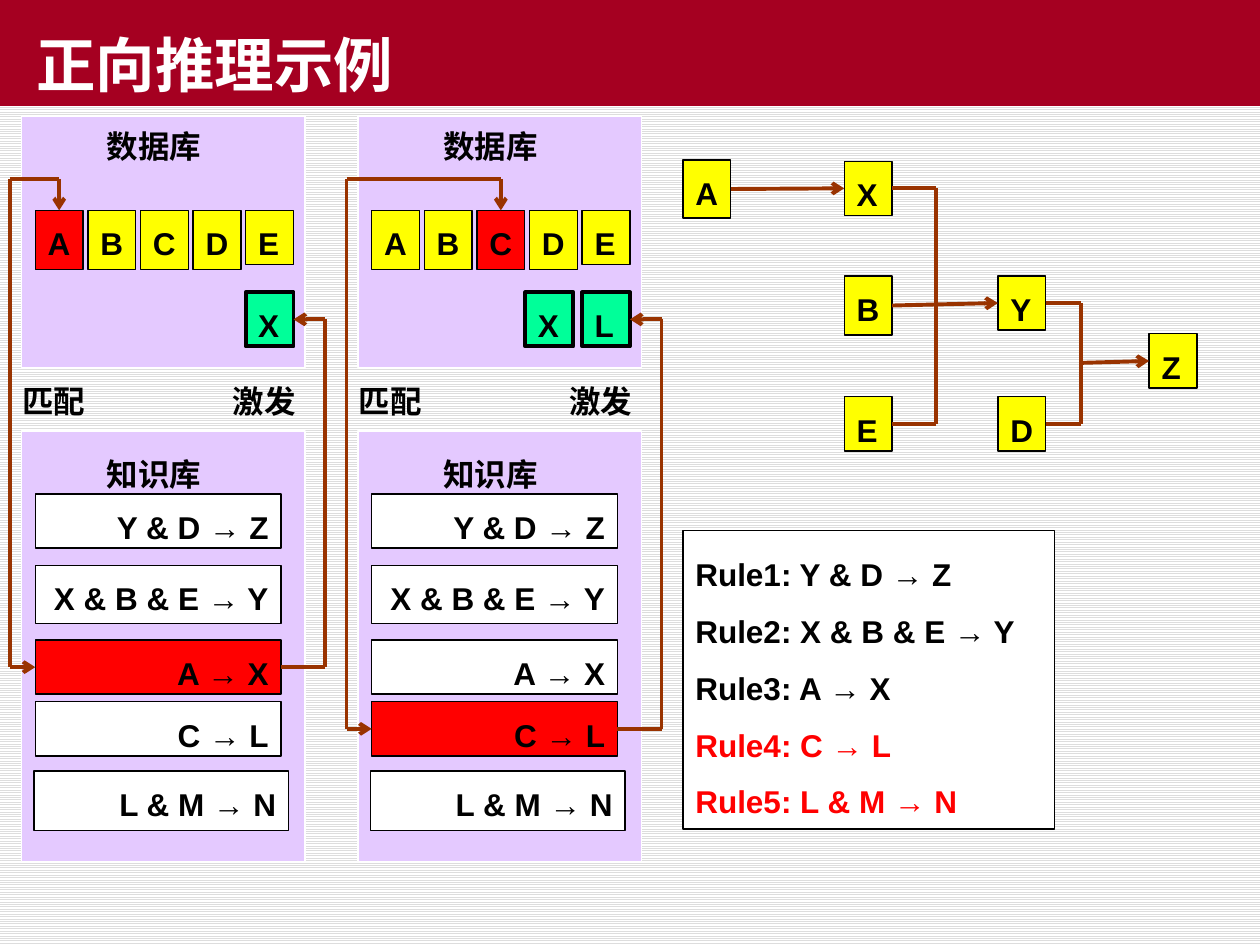
from pptx import Presentation
from pptx.dml.color import RGBColor
from pptx.enum import dml, shapes, text
from pptx.oxml.ns import qn
from pptx.util import Inches, Pt
from lxml import etree

BLACK = RGBColor(0x00, 0x00, 0x00)
WHITE = RGBColor(0xFF, 0xFF, 0xFF)
GREY = RGBColor(0xDD, 0xDD, 0xDD)
CRIMSON = RGBColor(0xA5, 0x00, 0x21)
LILAC = RGBColor(0xE4, 0xC9, 0xFF)
YELLOW = RGBColor(0xFF, 0xFF, 0x00)
RED = RGBColor(0xFF, 0x00, 0x00)
GREEN = RGBColor(0x00, 0xFF, 0x99)
BROWN = RGBColor(0x99, 0x33, 0x00)

TOP, LEFT, RIGHT = 0, 1, 3
LINE_HEIGHT = 0.43
FACT_WIDTH = 0.38
FACTS = "ABCDE"
# text, left, top, width, height
RULES = [
    ("Y & D → Z", 0.28, 3.92, 1.95, 0.43),
    ("X & B & E → Y", 0.28, 4.49, 1.95, 0.46),
    ("A → X", 0.28, 5.08, 1.95, 0.43),
    ("C → L", 0.28, 5.57, 1.95, 0.43),
    ("L & M → N", 0.27, 6.12, 2.02, 0.47),
]


def write(frame, paragraphs, size=18, color=BLACK, spacing=1.2,
          align=text.PP_ALIGN.LEFT, wrap=True, grow=True):
    """Fill a frame; each paragraph is a string or a list of (text, colour) lines."""
    frame.word_wrap = wrap
    frame.auto_size = (text.MSO_AUTO_SIZE.SHAPE_TO_FIT_TEXT if grow
                       else text.MSO_AUTO_SIZE.NONE)
    for i, content in enumerate(paragraphs):
        paragraph = frame.paragraphs[0] if i == 0 else frame.add_paragraph()
        paragraph.alignment = align
        paragraph.line_spacing = spacing
        lines = [(content, color)] if isinstance(content, str) else content
        for j, (words, line_color) in enumerate(lines):
            if j:
                paragraph.add_line_break()
            run = paragraph.add_run()
            run.text = words
            run.font.name = "Arial"
            run.font.size = Pt(size)
            run.font.bold = True
            run.font.color.rgb = line_color


def add_box(slide, left, top, width, height, fill, paragraphs=(),
            outline=BLACK, weight=0.75, **text_format):
    box = slide.shapes.add_shape(
        shapes.MSO_SHAPE.RECTANGLE,
        Inches(left), Inches(top), Inches(width), Inches(height))
    box.shadow.inherit = False
    box.fill.solid()
    box.fill.fore_color.rgb = fill
    box.line.color.rgb = outline
    box.line.width = Pt(weight)
    if paragraphs:
        box.text_frame.vertical_anchor = text.MSO_ANCHOR.TOP
        write(box.text_frame, paragraphs, **text_format)
    return box


def add_fact(slide, letter, left, top, height=LINE_HEIGHT, fill=YELLOW, weight=0.75):
    return add_box(slide, left, top, FACT_WIDTH, height, fill, [letter], weight=weight)


def add_label(slide, words, left, top, width):
    label = slide.shapes.add_textbox(
        Inches(left), Inches(top), Inches(width), Inches(LINE_HEIGHT))
    write(label.text_frame, [words], wrap=False)


def side_middle(box, side):
    if side == TOP:
        return box.left + box.width // 2, box.top
    x = box.left if side == LEFT else box.left + box.width
    return x, box.top + box.height // 2


def add_route(slide, points, start=None, end=None, arrow=True):
    """Draw straight segments; start and end are (box, side) joints."""
    points = list(points)
    if start:
        points.insert(0, side_middle(*start))
    if end:
        points.append(side_middle(*end))
    segments = []
    for begin, finish in zip(points, points[1:]):
        segment = slide.shapes.add_connector(
            shapes.MSO_CONNECTOR.STRAIGHT, *begin, *finish)
        segment.line.color.rgb = BROWN
        segment.line.width = Pt(2.25)
        etree.SubElement(segment._element.spPr, qn("a:effectLst"))
        segments.append(segment)
    if start:
        segments[0].begin_connect(*start)
    if end:
        segments[-1].end_connect(*end)
    if arrow:
        line = segments[-1].line._get_or_add_ln()
        etree.SubElement(line, qn("a:tailEnd"), type="arrow")


def add_cycle(slide, offset, matched, fired, derived):
    """One inference step: facts above, rules below, match and fire routes."""
    add_box(slide, offset + 0.17, 0.92, 2.25, 2, LILAC, outline=WHITE)
    add_box(slide, offset + 0.17, 3.42, 2.25, 3.42, LILAC, outline=WHITE)
    for words, left, top, width in [
            ("数据库", 0.75, 0.9, 0.97), ("知识库", 0.75, 3.5, 0.97),
            ("匹配", 0.08, 2.92, 0.71), ("激发", 1.75, 2.92, 0.71)]:
        add_label(slide, words, offset + left, top, width)

    facts = {}
    for i, letter in enumerate(FACTS):
        facts[letter] = add_fact(
            slide, letter, offset + 0.28 + i * 0.4175, 1.67,
            height=LINE_HEIGHT if letter == "E" else 0.47,
            fill=RED if letter == matched else YELLOW)
    rules = {}
    for rule, left, top, width, height in RULES:
        rules[rule] = add_box(
            slide, offset + left, top, width, height,
            RED if rule == fired else WHITE, [rule], align=text.PP_ALIGN.RIGHT)
    for i, letter in enumerate(reversed(derived)):
        newest = add_fact(slide, letter, offset + 1.95 - i * 0.45, 2.32,
                          fill=GREEN, weight=2.25)
        if i == 0:
            result = newest

    match_x, match_y = Inches(offset + 0.08), Inches(1.42)
    fire_x = Inches(offset + 2.58)
    fact_x = side_middle(facts[matched], TOP)[0]
    rule_y = side_middle(rules[fired], LEFT)[1]
    result_y = side_middle(result, RIGHT)[1]
    add_route(slide, [(match_x, match_y), (fact_x, match_y)],
              end=(facts[matched], TOP))
    add_route(slide, [(match_x, match_y), (match_x, rule_y)],
              end=(rules[fired], LEFT))
    add_route(slide, [(fire_x, rule_y), (fire_x, result_y)],
              start=(rules[fired], RIGHT), end=(result, RIGHT))


def add_bracket(slide, upper, lower, x):
    x = Inches(x)
    corners = [(x, side_middle(box, RIGHT)[1]) for box in (upper, lower)]
    add_route(slide, corners, start=(upper, RIGHT), end=(lower, RIGHT), arrow=False)


def add_inference_net(slide):
    a = add_fact(slide, "A", 5.42, 1.27, 0.46)
    x = add_fact(slide, "X", 6.7, 1.28)
    b = add_fact(slide, "B", 6.7, 2.19, 0.47)
    e = add_fact(slide, "E", 6.7, 3.15)
    y = add_fact(slide, "Y", 7.92, 2.19)
    d = add_fact(slide, "D", 7.92, 3.15)
    z = add_fact(slide, "Z", 9.12, 2.65)
    add_route(slide, [], start=(a, RIGHT), end=(x, LEFT))
    add_bracket(slide, x, e, 7.43)
    add_route(slide, [], start=(b, RIGHT), end=(y, LEFT))
    add_bracket(slide, y, d, 8.58)
    add_route(slide, [(Inches(8.58), Inches(2.88))], end=(z, LEFT))


def format_title(slide):
    title = slide.shapes.title
    title.left, title.top = Inches(0), Inches(0)
    title.width, title.height = Inches(10), Inches(0.84)
    title.fill.solid()
    title.fill.fore_color.rgb = CRIMSON
    title.text_frame.vertical_anchor = text.MSO_ANCHOR.BOTTOM
    write(title.text_frame, ["正向推理示例"], size=34, color=WHITE,
          spacing=1.0, grow=False)
    properties = title.text_frame.paragraphs[0]._p.get_or_add_pPr()
    properties.set("marL", "0")
    properties.set("indent", str(Inches(0.19)))


def main():
    prs = Presentation()
    prs.slide_width, prs.slide_height = Inches(10), Inches(7.5)
    slide = prs.slides.add_slide(prs.slide_layouts[5])
    backdrop = slide.background.fill
    backdrop.patterned()
    backdrop.pattern = dml.MSO_PATTERN.LIGHT_HORIZONTAL
    backdrop.fore_color.rgb = GREY
    backdrop.back_color.rgb = WHITE

    format_title(slide)
    add_cycle(slide, 0, matched="A", fired="A → X", derived="X")
    add_cycle(slide, 2.67, matched="C", fired="C → L", derived="XL")
    add_inference_net(slide)
    add_box(slide, 5.42, 4.21, 2.95, 2.37, WHITE, [
        "Rule1: Y & D → Z",
        "Rule2: X & B & E → Y",
        [("Rule3: A → X", BLACK), ("Rule4: C → L", RED)],
        [("Rule5: L & M → N", RED)],
    ], spacing=1.5)
    prs.save("out.pptx")


if __name__ == "__main__":
    main()
